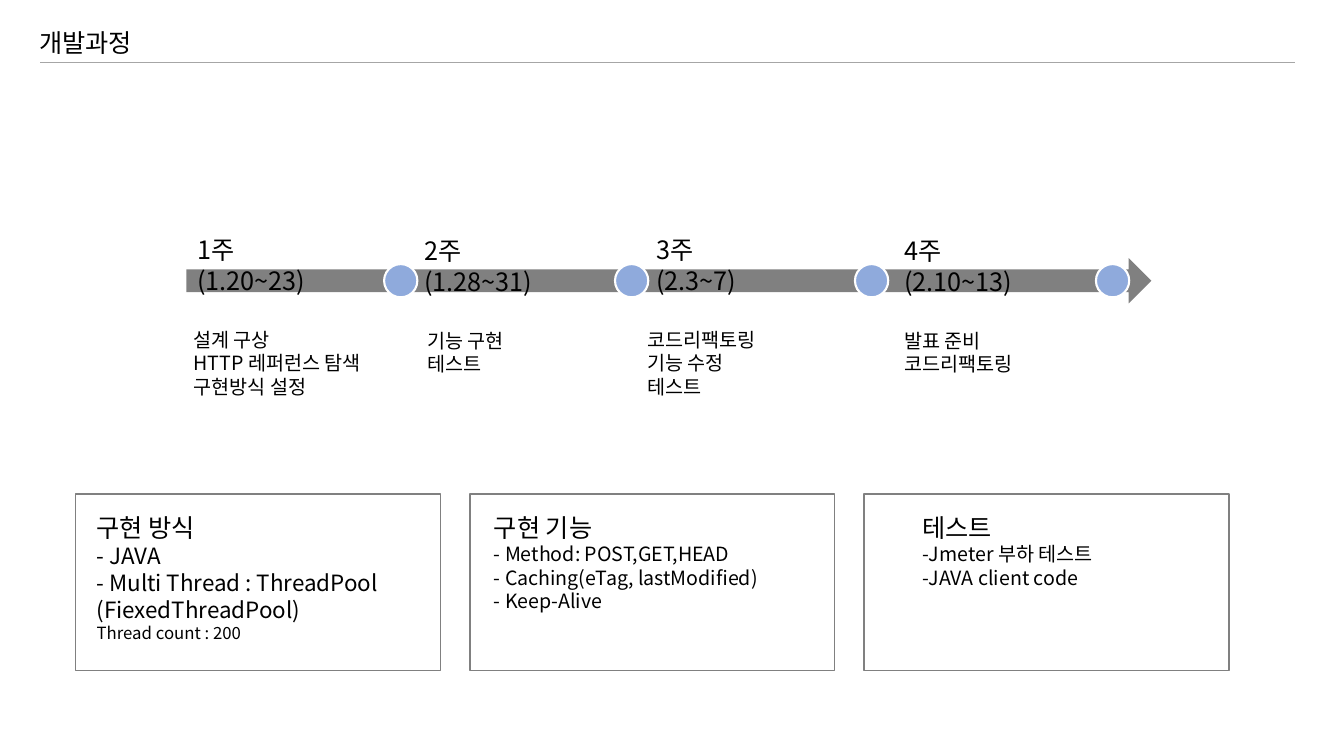
"""Builds the development timeline slide."""
from lxml import etree
from pptx import Presentation
from pptx.dml.color import RGBColor
from pptx.enum.shapes import MSO_CONNECTOR, MSO_SHAPE
from pptx.enum.text import MSO_ANCHOR, PP_ALIGN
from pptx.oxml.ns import qn
from pptx.util import Inches, Pt

LINE = MSO_CONNECTOR.STRAIGHT
ARROW, DOT, RECT = MSO_SHAPE.RIGHT_ARROW, MSO_SHAPE.OVAL, MSO_SHAPE.RECTANGLE
TOP, LEFT = MSO_ANCHOR.TOP, PP_ALIGN.LEFT
FONT = "Noto Sans CJK KR"
HUES = {name: RGBColor.from_string(code) for name, code in {
    "ink": "000000", "rule": "A6A6A6", "gray": "808080",
    "blue": "8FAADC", "white": "FFFFFF"}.items()}
FRAME = {"word_wrap": True, "vertical_anchor": TOP}

deck = Presentation()
deck.slide_width, deck.slide_height = Inches(13.33), Inches(7.5)
slide = deck.slides.add_slide(deck.slide_layouts[5])
shapes = slide.shapes


def write(box, lines):
    """Fill a box with (text, size) lines."""
    frame = box.text_frame
    for key, value in FRAME.items():
        setattr(frame, key, value)
    for i, (text, size) in enumerate(lines):
        para = frame.add_paragraph() if i else frame.paragraphs[0]
        para.alignment = LEFT
        para.line_spacing = Pt(size * 1.2)
        run = para.add_run()
        run.text = text
        for key, value in {"name": FONT, "size": Pt(size)}.items():
            setattr(run.font, key, value)
        run.font.color.rgb = HUES["ink"]
        east = etree.SubElement(run.font._element, qn("a:ea"))
        east.set("typeface", FONT)


def draw(kind, spot, fill, line, width):
    """Add a preset shape; None leaves out its fill or line."""
    shape = shapes.add_shape(kind, *map(Inches, spot))
    shape.shadow.inherit = False
    for part, hue in ((shape.fill, fill), (shape.line.fill, line)):
        if hue:
            part.solid()
            part.fore_color.rgb = HUES[hue]
        else:
            part.background()
    if line:
        shape.line.width = Pt(width)


title = shapes.title
for key, value in {"left": 0.29, "top": 0.22, "width": 1.32, "height": 0.4}.items():
    setattr(title, key, Inches(value))
write(title, [("개발과정", 18)])

rule = shapes.add_connector(LINE, *map(Inches, (0.4, 0.62, 12.84, 0.62)))
rule.line.color.rgb = HUES["rule"]
rule.line.width = Pt(0.75)
etree.SubElement(rule._element.spPr, qn("a:effectLst"))

draw(ARROW, (1.85, 2.56, 9.57, 0.45), "gray", None, 0)
for left in (3.81, 6.1, 8.48, 10.87):
    draw(DOT, (left, 2.62, 0.33, 0.33), "blue", "white", 1.5)

WEEKS = [
    ("1주(1.20~23)", 1.86, 2.28, 1.6, 1.82, ["설계 구상", "HTTP 레퍼런스 탐색", "구현방식 설정"]),
    ("2주(1.28~31)", 4.11, 2.29, 1.6, 4.14, ["기능 구현", "테스트"]),
    ("3주(2.3~7)", 6.41, 2.28, 1.3, 6.32, ["코드리팩토링", "기능 수정", "테스트"]),
    ("4주(2.10~13)", 8.87, 2.29, 1.6, 8.87, ["발표 준비", "코드리팩토링"]),
]
for week, left, top, width, start, tasks in WEEKS:
    label = shapes.add_textbox(*map(Inches, (left, top, width, 0.4)))
    write(label, [(week, 18)])
    high = 0.1 + 0.24 * len(tasks)
    notes = shapes.add_textbox(*map(Inches, (start, top + 0.92, 2.1, high)))
    write(notes, [(task, 14) for task in tasks])

CARDS = [
    (0.86, 5.01, 1.41, [("구현 방식", 18), ("- JAVA", 16),
                        ("- Multi Thread : ThreadPool", 16),
                        ("(FiexedThreadPool)", 16), ("Thread count : 200", 12)]),
    (4.8, 3.64, 1.11, [("구현 기능", 18), ("- Method: POST,GET,HEAD", 14),
                       ("- Caching(eTag, lastModified)", 14), ("- Keep-Alive", 14)]),
    (9.05, 3.64, 0.88, [("테스트", 18), ("-Jmeter 부하 테스트", 14),
                        ("-JAVA client code", 14)]),
]
for col, (left, width, high, lines) in enumerate(CARDS):
    write(shapes.add_textbox(*map(Inches, (left, 5.03, width, high))), lines)
    draw(RECT, (0.75 + 3.91 * col, 4.9, 3.62, 1.75), None, "gray", 1)

deck.save("out.pptx")
